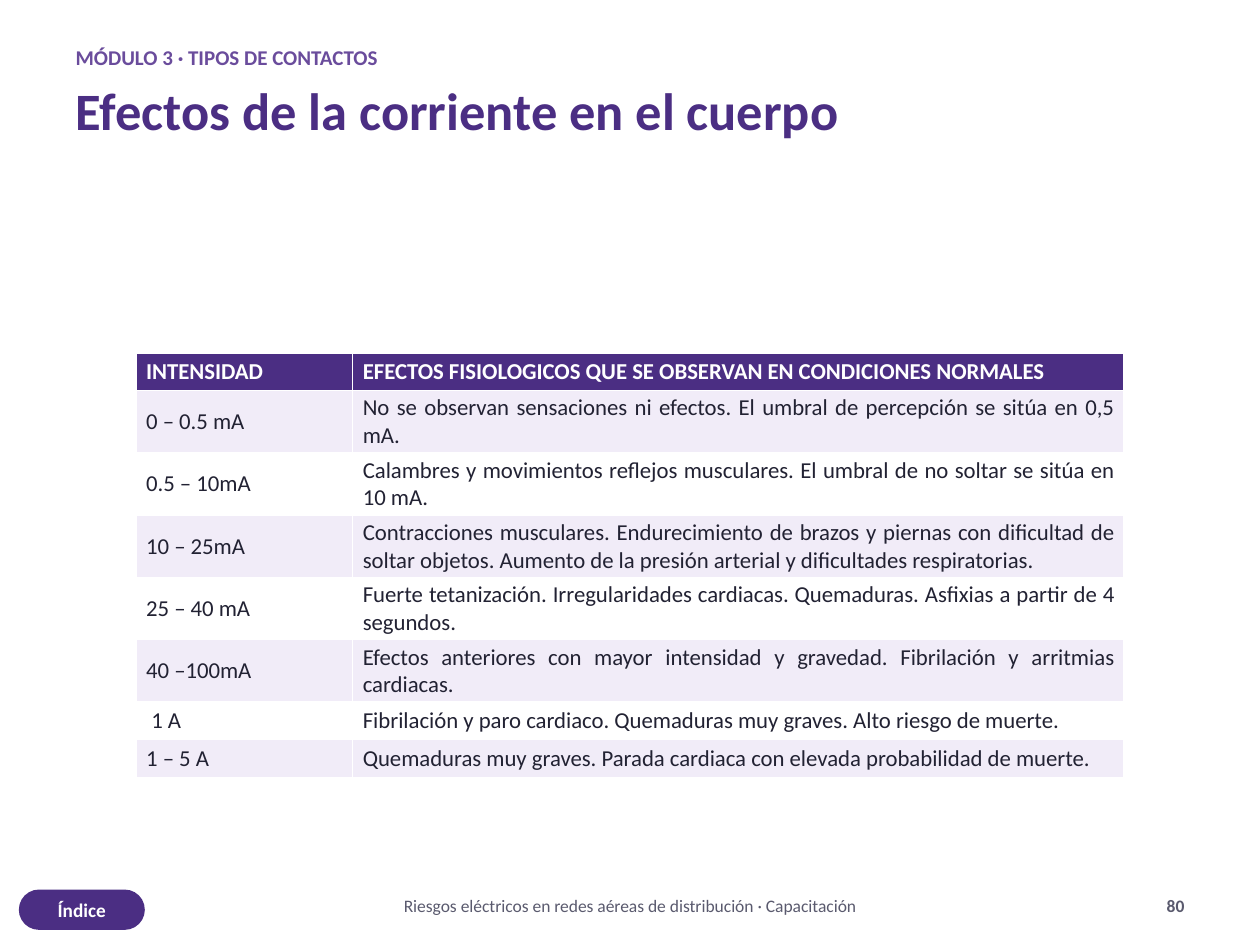
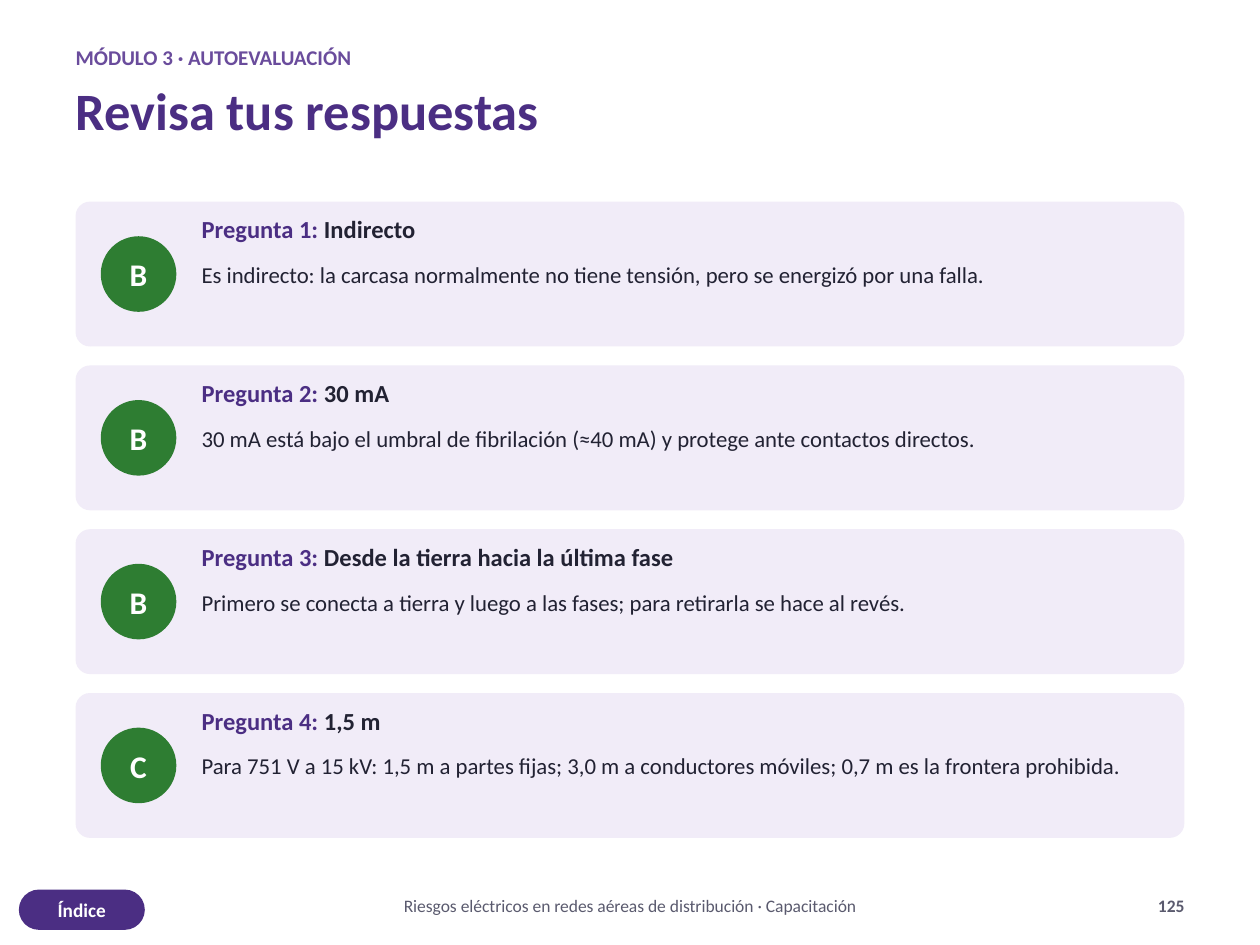
"""Builds two training slides: a table of current effects and a self-assessment answer key."""
from pptx import Presentation
from pptx.dml.color import RGBColor
from pptx.enum.shapes import MSO_SHAPE
from pptx.enum.text import MSO_ANCHOR, PP_ALIGN
from pptx.util import Inches, Pt

FOOTER = "Riesgos eléctricos en redes aéreas de distribución · Capacitación"
INDEX_LABEL = "Índice"

EFFECTS_SLIDE = ("MÓDULO 3 · TIPOS DE CONTACTOS", "Efectos de la corriente en el cuerpo", 80)
EFFECTS = [
    ("INTENSIDAD", "EFECTOS FISIOLOGICOS QUE SE OBSERVAN EN CONDICIONES NORMALES"),
    ("0 – 0.5 mA", "No se observan sensaciones ni efectos. El umbral de percepción se sitúa en 0,5 mA."),
    ("0.5 – 10mA", "Calambres y movimientos reflejos musculares. El umbral de no soltar se sitúa en 10 mA."),
    ("10 – 25mA", "Contracciones musculares. Endurecimiento de brazos y piernas con dificultad de soltar "
                  "objetos. Aumento de la presión arterial y dificultades respiratorias."),
    ("25 – 40 mA", "Fuerte tetanización. Irregularidades cardiacas. Quemaduras. Asfixias a partir de 4 segundos."),
    ("40 –100mA", "Efectos anteriores con mayor intensidad y gravedad. Fibrilación y arritmias cardiacas."),
    (" 1 A", "Fibrilación y paro cardiaco. Quemaduras muy graves. Alto riesgo de muerte."),
    ("1 – 5 A", "Quemaduras muy graves. Parada cardiaca con elevada probabilidad de muerte."),
]

ANSWERS_SLIDE = ("MÓDULO 3 · AUTOEVALUACIÓN", "Revisa tus respuestas", 125)
ANSWERS = [
    ("B", "Indirecto", "Es indirecto: la carcasa normalmente no tiene tensión, pero se energizó por una falla."),
    ("B", "30 mA", "30 mA está bajo el umbral de fibrilación (≈40 mA) y protege ante contactos directos."),
    ("B", "Desde la tierra hacia la última fase",
     "Primero se conecta a tierra y luego a las fases; para retirarla se hace al revés."),
    ("C", "1,5 m", "Para 751 V a 15 kV: 1,5 m a partes fijas; 3,0 m a conductores móviles; "
                   "0,7 m es la frontera prohibida."),
]

PURPLE = RGBColor(0x4B, 0x2E, 0x83)
VIOLET = RGBColor(0x6A, 0x4C, 0x9C)
LILAC = RGBColor(0xF1, 0xEC, 0xF8)
GREEN = RGBColor(0x2E, 0x7D, 0x32)
INK = RGBColor(0x22, 0x22, 0x33)
GREY = RGBColor(0x5A, 0x5A, 0x6E)
WHITE = RGBColor(0xFF, 0xFF, 0xFF)

FONT = "Calibri"
WIDTH, HEIGHT = 10, 7.5
MARGIN = 0.6
CONTENT = WIDTH - 2 * MARGIN
FOOTER_TOP, FOOTER_HEIGHT = 7.1, 0.28
PAGE_WIDTH = 1

TABLE_LEFT, TABLE_TOP = 1.08, 2.8
COLUMNS = (1.72, 6.12)
ROW_HEIGHT = 0.3

CARD_TOP, CARD_HEIGHT, CARD_GAP = 1.6, 1.15, 0.15
BADGE = 0.6
PADDING = 0.2
ANSWER_LEFT = MARGIN + BADGE + 2 * PADDING
ANSWER_WIDTH = WIDTH - MARGIN - PADDING - ANSWER_LEFT


def write(frame, runs, size, align=PP_ALIGN.LEFT):
    """Fill a frame with one paragraph of (text, colour, bold) runs."""
    paragraph = frame.paragraphs[0]
    paragraph.alignment = align
    for text, colour, bold in runs:
        run = paragraph.add_run()
        run.text = text
        run.font.name = FONT
        run.font.size = Pt(size)
        run.font.bold = bold
        run.font.color.rgb = colour


def remove_insets(frame):
    frame.margin_left = frame.margin_top = frame.margin_right = frame.margin_bottom = 0
    frame.word_wrap = True


def add_text(slide, area, runs, size, align=PP_ALIGN.LEFT):
    frame = slide.shapes.add_textbox(*map(Inches, area)).text_frame
    remove_insets(frame)
    write(frame, runs, size, align)


def add_block(slide, preset, area, colour, label="", size=11, rounding=None):
    block = slide.shapes.add_shape(preset, *map(Inches, area))
    block.shadow.inherit = False
    block.fill.solid()
    block.fill.fore_color.rgb = colour
    block.line.fill.background()
    if rounding is not None:
        block.adjustments[0] = rounding
    if label:
        remove_insets(block.text_frame)
        block.text_frame.vertical_anchor = MSO_ANCHOR.MIDDLE
        write(block.text_frame, [(label, WHITE, True)], size, PP_ALIGN.CENTER)


def add_base(deck, module, title, page):
    """Add a blank slide with its heading and footer."""
    slide = deck.slides.add_slide(deck.slide_layouts[6])
    slide.background.fill.solid()
    slide.background.fill.fore_color.rgb = WHITE
    add_text(slide, (MARGIN, 0.35, CONTENT, 0.3), [(module, VIOLET, True)], 12)
    add_text(slide, (MARGIN, 0.62, CONTENT, 0.75), [(title, PURPLE, True)], 30)
    add_block(slide, MSO_SHAPE.ROUNDED_RECTANGLE, (0.15, 7.06, 1, 0.32), PURPLE, INDEX_LABEL, rounding=0.5)
    add_text(slide, (WIDTH * 0.2, FOOTER_TOP, WIDTH * 0.6, FOOTER_HEIGHT),
             [(FOOTER, GREY, False)], 10, PP_ALIGN.CENTER)
    add_text(slide, (WIDTH - MARGIN - PAGE_WIDTH, FOOTER_TOP, PAGE_WIDTH, FOOTER_HEIGHT),
             [(str(page), GREY, True)], 10, PP_ALIGN.RIGHT)
    return slide


def add_effects(slide):
    area = (TABLE_LEFT, TABLE_TOP, sum(COLUMNS), ROW_HEIGHT * len(EFFECTS))
    table = slide.shapes.add_table(len(EFFECTS), len(COLUMNS), *map(Inches, area)).table
    for column, width in zip(table.columns, COLUMNS):
        column.width = Inches(width)
    for r, effect in enumerate(EFFECTS):
        header = r == 0
        table.rows[r].height = Inches(ROW_HEIGHT)
        for c, text in enumerate(effect):
            cell = table.cell(r, c)
            cell.fill.solid()
            cell.fill.fore_color.rgb = PURPLE if header else LILAC if r % 2 else WHITE
            cell.vertical_anchor = MSO_ANCHOR.MIDDLE
            cell.margin_left = cell.margin_right = Inches(0.08)
            cell.margin_top = cell.margin_bottom = Inches(0.03)
            align = PP_ALIGN.JUSTIFY if c and not header else PP_ALIGN.LEFT
            write(cell.text_frame, [(text, WHITE if header else INK, header)], 13, align)


def add_answers(slide):
    for i, (letter, answer, reason) in enumerate(ANSWERS):
        top = CARD_TOP + i * (CARD_HEIGHT + CARD_GAP)
        add_block(slide, MSO_SHAPE.ROUNDED_RECTANGLE, (MARGIN, top, CONTENT, CARD_HEIGHT), LILAC, rounding=0.1)
        badge_top = top + (CARD_HEIGHT - BADGE) / 2
        add_block(slide, MSO_SHAPE.OVAL, (MARGIN + PADDING, badge_top, BADGE, BADGE), GREEN, letter, 18)
        add_text(slide, (ANSWER_LEFT, top + 0.1, ANSWER_WIDTH, 0.4),
                 [(f"Pregunta {i + 1}: ", PURPLE, True), (answer, INK, True)], 14)
        add_text(slide, (ANSWER_LEFT, top + 0.47, ANSWER_WIDTH, 0.65), [(reason, INK, False)], 13)


def main():
    deck = Presentation()
    deck.slide_width, deck.slide_height = Inches(WIDTH), Inches(HEIGHT)
    add_effects(add_base(deck, *EFFECTS_SLIDE))
    add_answers(add_base(deck, *ANSWERS_SLIDE))
    deck.save("out.pptx")


if __name__ == "__main__":
    main()
